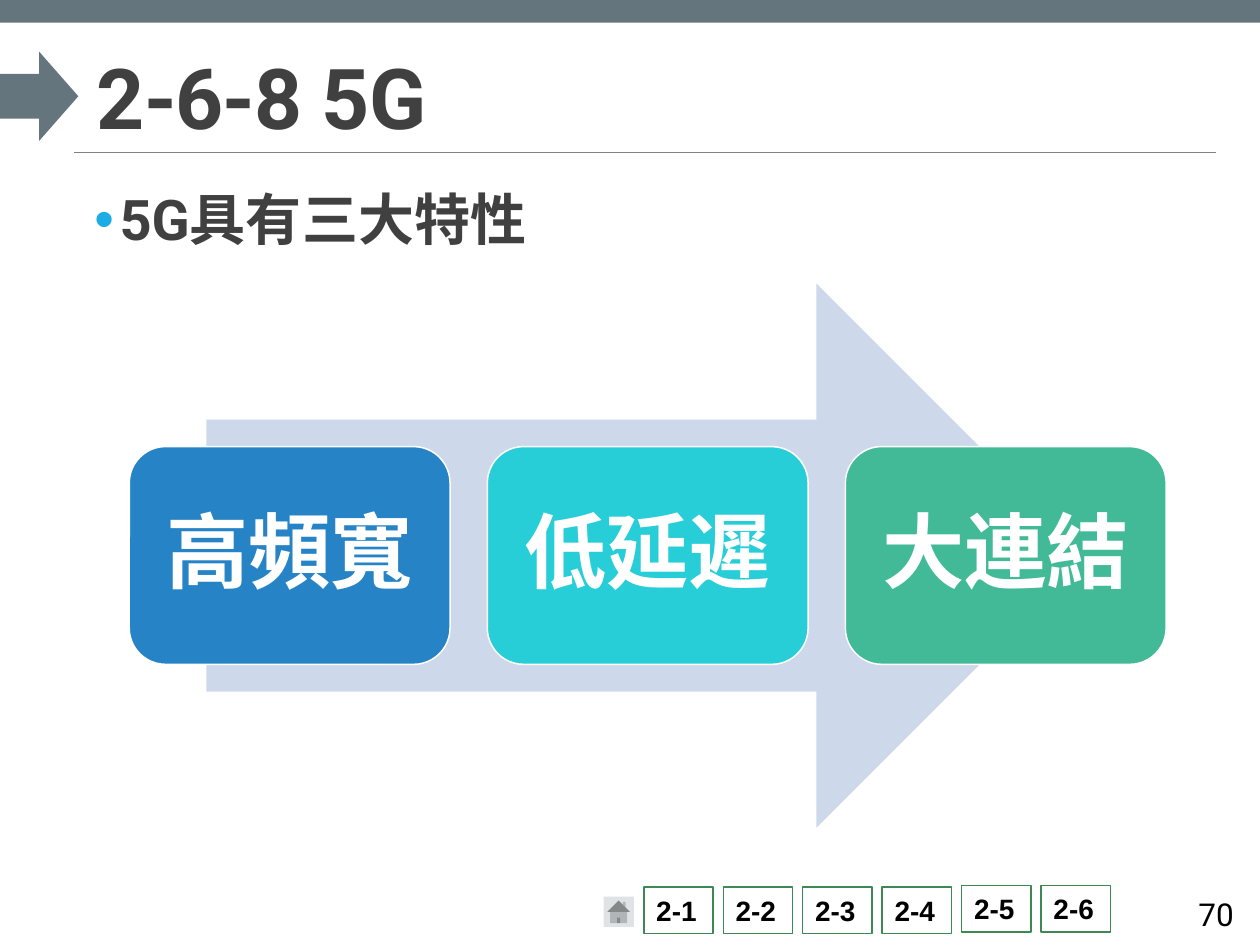
from lxml import etree
from pptx import Presentation
from pptx.dml.color import RGBColor
from pptx.enum import shapes, text
from pptx.oxml import ns
from pptx.util import Pt

COLORS = {
    "white": "FFFFFF", "black": "000000", "ink": "404040", "slate": "65757D",
    "rule": "808080", "nav": "3E8853", "home": "DFE3E5", "bullet": "1CADE4",
    "arrow": "CDD9EA", "blue": "2683C6", "cyan": "27CED7", "green": "42BA97",
}
KIND = shapes.MSO_SHAPE
ALIGN = text.PP_ALIGN
ANCHOR = text.MSO_ANCHOR


def add_shape(kind, left, top, width, height, fill, line=None):
    sp = s.shapes.add_shape(kind, Pt(left), Pt(top), Pt(width), Pt(height))
    sp.shadow.inherit = False
    sp.fill.solid()
    sp.fill.fore_color.rgb = RGBColor.from_string(COLORS[fill])
    if line:
        sp.line.color.rgb = RGBColor.from_string(COLORS[line])
        sp.line.width = Pt(0.85)
    else:
        sp.line.fill.background()
    return sp


def write(sp, words, size, color, font="Roboto", bold=True, align=ALIGN.LEFT,
          anchor=ANCHOR.TOP, inset=(7.2, 3.6), spacing=None):
    """Fill a shape with one formatted paragraph; return the paragraph and run."""
    tf = sp.text_frame
    tf.word_wrap = True
    tf.vertical_anchor = anchor
    tf.margin_left = tf.margin_right = Pt(inset[0])
    tf.margin_top = tf.margin_bottom = Pt(inset[1])
    p = tf.paragraphs[0]
    p.alignment = align
    if spacing:
        p.line_spacing = spacing
    r = p.add_run()
    r.text = words
    r.font.name = font
    r.font.size = Pt(size)
    r.font.bold = bold
    r.font.color.rgb = RGBColor.from_string(COLORS[color])
    return p, r


prs = Presentation()
prs.slide_width, prs.slide_height = Pt(720), Pt(540)
s = prs.slides.add_slide(prs.slide_layouts[6])

# Header
rule = s.shapes.add_connector(shapes.MSO_CONNECTOR.STRAIGHT,
                              Pt(42.5), Pt(87.1), Pt(694.8), Pt(87.1))
rule.line.color.rgb = RGBColor.from_string(COLORS["rule"])
rule.line.width = Pt(0.5)
etree.SubElement(rule.element.spPr, ns.qn("a:effectLst"))
add_shape(KIND.RECTANGLE, 0, 0, 720, 13, "slate")
add_shape(KIND.RIGHT_ARROW, 0, 29.5, 44.8, 51, "slate")

title = s.shapes.add_textbox(Pt(48.2), Pt(22.3), Pt(646.6), Pt(64.8))
p, r = write(title, "2-6-8 5G", 48, "ink", anchor=ANCHOR.BOTTOM, spacing=0.85)
r.font._element.set("spc", "-50")

# Bulleted statement
body = s.shapes.add_textbox(Pt(54), Pt(102.2), Pt(604.8), Pt(50))
p, r = write(body, "5G具有三大特性", 32, "ink", align=ALIGN.JUSTIFY, inset=(0, 3.6))
pPr = p._p.get_or_add_pPr()
pPr.set("marL", str(Pt(14.4)))
pPr.set("indent", str(-Pt(14.4)))
bullet_color = etree.SubElement(pPr, ns.qn("a:buClr"))
etree.SubElement(bullet_color, ns.qn("a:srgbClr"), val=COLORS["bullet"])
etree.SubElement(pPr, ns.qn("a:buFont"), typeface="Arial")
etree.SubElement(pPr, ns.qn("a:buChar"), char="•")

# Three features on a big arrow
add_shape(KIND.RIGHT_ARROW, 118, 162, 504, 311, "arrow")
features = [("高頻寬", "blue"), ("低延遲", "cyan"), ("大連結", "green")]
for i, (label, fill) in enumerate(features):
    card = add_shape(KIND.ROUNDED_RECTANGLE, 73.9 + 204.6 * i, 255.2, 183.3, 124.4,
                     fill, "white")
    write(card, label, 47, "white", align=ALIGN.CENTER, anchor=ANCHOR.MIDDLE,
          inset=(10, 10), spacing=0.9)

# Section navigation and page number
add_shape(KIND.ACTION_BUTTON_HOME, 344.9, 512.4, 17.3, 17.3, "home")
for i in range(6):
    top = 506.9 if i < 4 else 506.1
    button = add_shape(KIND.RECTANGLE, 367.9 + 45.4 * i, top, 39.6, 26.6, "white", "nav")
    write(button, f"2-{i + 1}", 16, "black", font="Arial")

page = s.shapes.add_textbox(Pt(634.3), Pt(507.6), Pt(77.8), Pt(28.8))
write(page, "70", 18, "black", bold=False, align=ALIGN.RIGHT, anchor=ANCHOR.MIDDLE)

prs.save("out.pptx")
